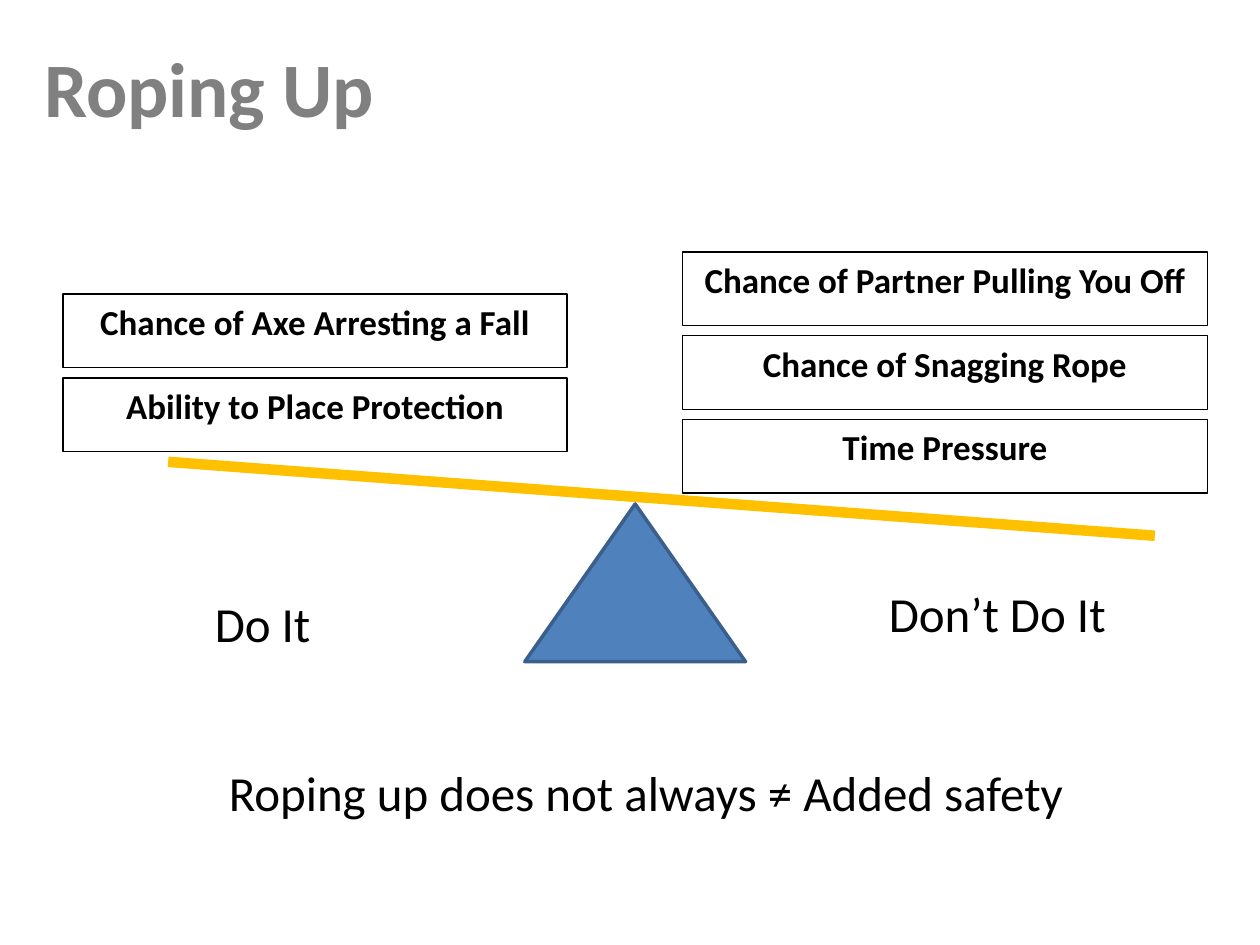
from lxml.etree import SubElement
from pptx import Presentation
from pptx.dml.color import RGBColor
from pptx.enum.shapes import MSO_CONNECTOR as Connector, MSO_SHAPE as Shape
from pptx.enum.text import MSO_ANCHOR as Anchor, PP_ALIGN as Align
from pptx.oxml.ns import qn
from pptx.util import Cm, Pt

COLORS = {
    "title": "808080",
    "text": "000000",
    "fulcrum": "4F81BD",
    "fulcrum_edge": "3A5F8C",
    "beam": "FFC000",
}
FONT = "Calibri"
CARD_HEIGHT = 1.48
CARD_PITCH = 1.69


def color(name):
    return RGBColor.from_string(COLORS[name])


def lengths(*values):
    return [Cm(value) for value in values]


def write_text(box, text, size=28, bold=False, ink="text", align=Align.CENTER, anchor=Anchor.TOP):
    frame = box.text_frame
    frame.word_wrap = True
    frame.vertical_anchor = anchor
    para = frame.paragraphs[0]
    para.alignment = align
    span = para.add_run()
    span.text = text
    span.font.name = FONT
    span.font.size = Pt(size)
    span.font.bold = bold
    span.font.color.rgb = color(ink)


def add_label(page, text, left, top, width, height, **style):
    box = page.shapes.add_textbox(*lengths(left, top, width, height))
    write_text(box, text, **style)


def add_outlined(page, kind, left, top, width, height, edge, weight):
    shape = page.shapes.add_shape(kind, *lengths(left, top, width, height))
    shape.shadow.inherit = False
    shape.line.color.rgb = color(edge)
    shape.line.width = Pt(weight)
    return shape


def add_card_stack(page, left, top, width, texts):
    for row, text in enumerate(texts):
        card = add_outlined(page, Shape.RECTANGLE, left, top + row * CARD_PITCH,
                            width, CARD_HEIGHT, "text", 0.75)
        card.fill.background()
        write_text(card, text, size=20, bold=True)


def add_fulcrum(page, left, top, width, height):
    fulcrum = add_outlined(page, Shape.ISOSCELES_TRIANGLE, left, top, width, height,
                           "fulcrum_edge", 2)
    fulcrum.fill.solid()
    fulcrum.fill.fore_color.rgb = color("fulcrum")


def add_beam(page, *ends):
    beam = page.shapes.add_connector(Connector.STRAIGHT, *lengths(*ends))
    beam.line.color.rgb = color("beam")
    beam.line.width = Pt(6)
    SubElement(beam._element.spPr, qn("a:effectLst"))


def main():
    deck = Presentation()
    deck.slide_width, deck.slide_height = lengths(25.4, 19.05)
    page = deck.slides.add_slide(deck.slide_layouts[6])

    add_label(page, "Roping Up", 0.64, 0.43, 22.02, 2.62, size=44, bold=True,
              ink="title", align=Align.LEFT, anchor=Anchor.MIDDLE)
    add_label(page, "Roping up does not always ≠ Added safety", 0.64, 15.24, 24.76, 3.18)
    add_fulcrum(page, 10.58, 10.16, 4.45, 3.18)
    add_beam(page, 3.39, 9.31, 23.28, 10.8)
    add_card_stack(page, 1.27, 5.93, 10.16,
                   ["Chance of Axe Arresting a Fall", "Ability to Place Protection"])
    add_card_stack(page, 13.76, 5.08, 10.58,
                   ["Chance of Partner Pulling You Off", "Chance of Snagging Rope",
                    "Time Pressure"])
    add_label(page, "Do It", 0.64, 11.85, 9.31, 1.69)
    add_label(page, "Don’t Do It", 15.45, 11.64, 9.31, 1.69)

    deck.save("out.pptx")


if __name__ == "__main__":
    main()
